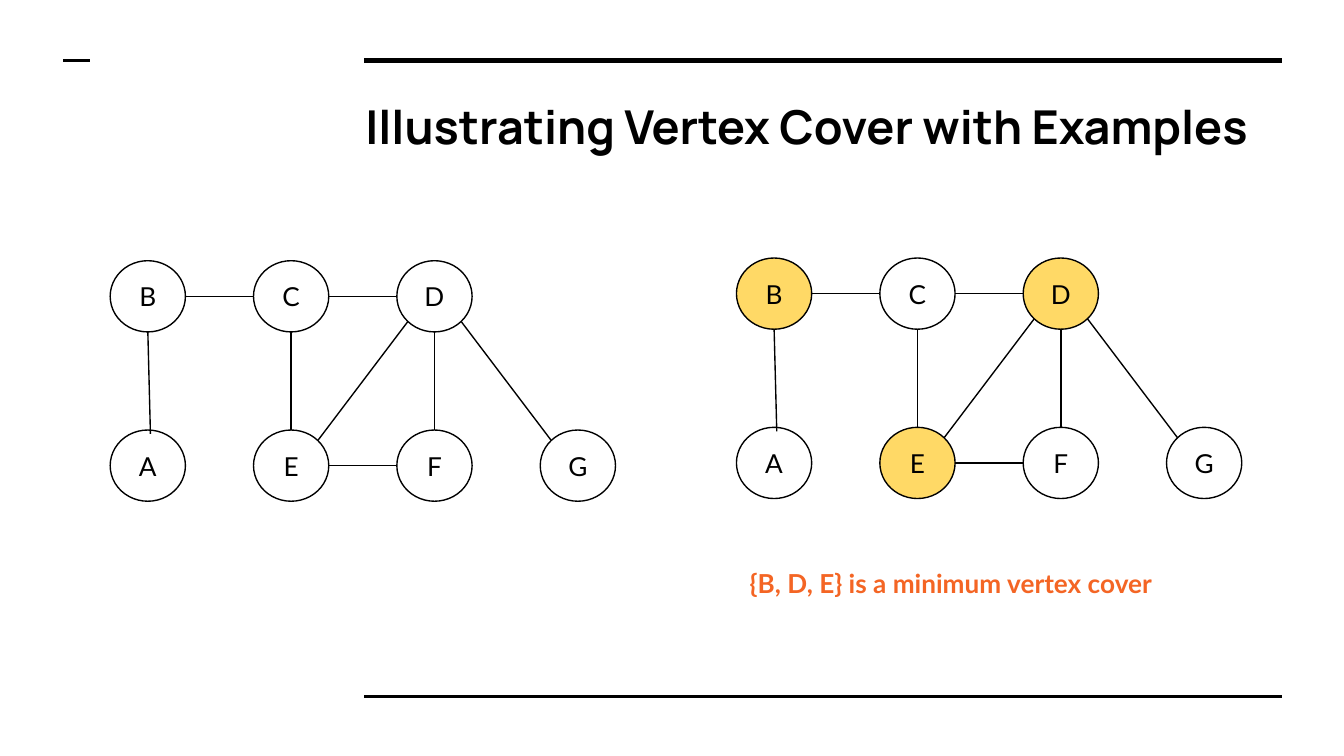
from lxml.etree import SubElement
from pptx import Presentation
from pptx.dml.color import RGBColor
from pptx.enum.shapes import MSO_CONNECTOR, MSO_SHAPE
from pptx.enum.text import MSO_ANCHOR, PP_ALIGN
from pptx.oxml.ns import qn
from pptx.util import Inches, Pt

COLORS = {"black": "000000", "white": "FFFFFF", "cover": "FFD966", "caption": "F46524"}

TITLE = "Illustrating Vertex Cover with Examples"
CAPTION = "{B, D, E} is a minimum vertex cover"
RULES = [(2.71, 9.54, 0.45, 3), (2.71, 9.54, 5.18, 1.5), (0.47, 0.67, 0.45, 1.5)]

VERTICES = {"B": (0, 0), "A": (0, 1), "C": (1, 0), "E": (1, 1),
            "D": (2, 0), "F": (2, 1), "G": (3, 1)}
SITES = {"top": (0, -1), "bottom": (0, 1), "left": (-1, 0), "right": (1, 0),
         "top left": (-0.71, -0.71), "top right": (0.71, -0.71),
         "bottom left": (-0.71, 0.71), "bottom right": (0.71, 0.71),
         "inside top": (0.07, -0.89)}
EDGES = [("A", "inside top", "B", "bottom"), ("B", "right", "C", "left"),
         ("C", "right", "D", "left"), ("C", "bottom", "E", "top"),
         ("E", "right", "F", "left"), ("E", "top right", "D", "bottom left"),
         ("D", "bottom right", "G", "top left"), ("F", "top", "D", "bottom")]
GRAPHS = [(0.82, 1.94, ""), (5.48, 1.92, "BDE")]

WIDTH, HEIGHT = 0.56, 0.53
COLUMN_STEP, ROW_STEP = 3.2 / 3, 1.26


def color(name):
    return RGBColor.from_string(COLORS[name])


def write(text_frame, text, size, font_name, color_name, bold=False):
    text_frame.word_wrap = True
    text_frame.margin_left = text_frame.margin_right = Inches(0.1)
    text_frame.margin_top = text_frame.margin_bottom = Inches(0.1)
    text_frame.text = text
    font = text_frame.paragraphs[0].runs[0].font
    font.size, font.name, font.bold = Pt(size), font_name, bold
    font.color.rgb = color(color_name)


def add_line(slide, start, end, width):
    points = [Inches(value) for value in (*start, *end)]
    connector = slide.shapes.add_connector(MSO_CONNECTOR.STRAIGHT, *points)
    connector.line.color.rgb = color("black")
    connector.line.width = Pt(width)
    SubElement(connector._element.spPr, qn("a:effectLst"))


def add_text(slide, box, *text_style):
    shape = slide.shapes.add_textbox(*[Inches(value) for value in box])
    write(shape.text_frame, *text_style)


def add_vertex(slide, label, left, top, fill):
    shape = slide.shapes.add_shape(MSO_SHAPE.OVAL, Inches(left), Inches(top),
                                   Inches(WIDTH), Inches(HEIGHT))
    shape.shadow.inherit = False
    shape.fill.solid()
    shape.fill.fore_color.rgb = color(fill)
    shape.line.color.rgb = color("black")
    shape.line.width = Pt(0.75)
    write(shape.text_frame, label, 14, "Lato", "black")
    shape.text_frame.vertical_anchor = MSO_ANCHOR.MIDDLE
    shape.text_frame.paragraphs[0].alignment = PP_ALIGN.CENTER


def add_graph(slide, left, top, cover):
    corners = {label: (left + column * COLUMN_STEP, top + row * ROW_STEP)
               for label, (column, row) in VERTICES.items()}

    def site_point(label, site):
        x, y = corners[label]
        dx, dy = SITES[site]
        return x + WIDTH / 2 * (1 + dx), y + HEIGHT / 2 * (1 + dy)

    for label, corner in corners.items():
        add_vertex(slide, label, *corner, "cover" if label in cover else "white")
    for start, start_site, end, end_site in EDGES:
        add_line(slide, site_point(start, start_site), site_point(end, end_site), 0.75)


presentation = Presentation()
presentation.slide_width = Inches(10)
presentation.slide_height = presentation.slide_width * 9 // 16
slide = presentation.slides.add_slide(presentation.slide_layouts[6])

for left, right, y, width in RULES:
    add_line(slide, (left, y), (right, y), width)
add_text(slide, (2.62, 0.63, 6.91, 0.69), TITLE, 25, "Manrope", "black", True)
for left, top, cover in GRAPHS:
    add_graph(slide, left, top, cover)
add_text(slide, (5.48, 4.12, 3.43, 0.44), CAPTION, 14, "Lato", "caption", True)

presentation.save("out.pptx")
